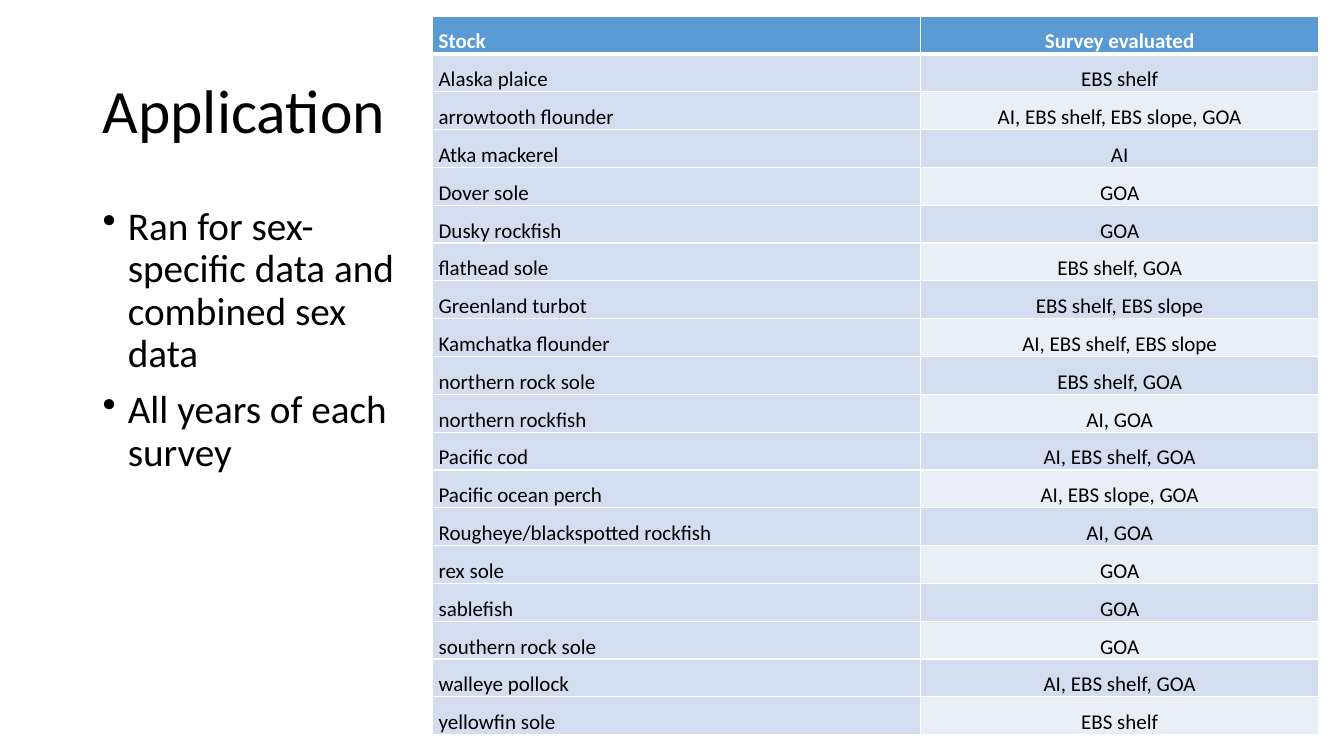
from lxml import etree
from pptx import Presentation
from pptx.dml.color import RGBColor
from pptx.enum import text
from pptx.oxml import ns
from pptx.util import Inches, Pt

BLACK = RGBColor(0, 0, 0)
WHITE = RGBColor(255, 255, 255)
BLUE = RGBColor(0x5B, 0x9B, 0xD5)
PALE = RGBColor(0xD2, 0xDE, 0xEF)
LIGHT = RGBColor(0xEA, 0xEF, 0xF7)
FONT = "Calibri"

POINTS = ["Ran for sex-specific data and combined sex data",
          "All years of each survey"]
STOCKS = [
    ("Stock", "Survey evaluated"),
    ("Alaska plaice", "EBS shelf"),
    ("arrowtooth flounder", "AI, EBS shelf, EBS slope, GOA"),
    ("Atka mackerel", "AI"),
    ("Dover sole", "GOA"),
    ("Dusky rockfish", "GOA"),
    ("flathead sole", "EBS shelf, GOA"),
    ("Greenland turbot", "EBS shelf, EBS slope"),
    ("Kamchatka flounder", "AI, EBS shelf, EBS slope"),
    ("northern rock sole", "EBS shelf, GOA"),
    ("northern rockfish", "AI, GOA"),
    ("Pacific cod", "AI, EBS shelf, GOA"),
    ("Pacific ocean perch", "AI, EBS slope, GOA"),
    ("Rougheye/blackspotted rockfish", "AI, GOA"),
    ("rex sole", "GOA"),
    ("sablefish", "GOA"),
    ("southern rock sole", "GOA"),
    ("walleye pollock", "AI, EBS shelf, GOA"),
    ("yellowfin sole", "EBS shelf"),
]


def style(para, size, color, spacing, before=0, bold=False):
    font = para.font
    font.name, font.size, font.bold = FONT, Pt(size), bold
    font.color.rgb = color
    para.line_spacing = spacing
    para.space_before = Pt(before)


def add_bullet(para):
    props = para._p.get_or_add_pPr()
    props.set("marL", str(Inches(0.25)))
    props.set("indent", str(Inches(-0.25)))
    mark = etree.Element(ns.qn("a:buChar"), char="•")
    props.insert_element_before(mark, "a:tabLst", "a:defRPr", "a:extLst")


def add_text(slide, left, top, width, height, lines, size, before=0,
             bullets=False, anchor=text.MSO_ANCHOR.TOP):
    box = slide.shapes.add_textbox(Inches(left), Inches(top),
                                   Inches(width), Inches(height))
    frame = box.text_frame
    frame.word_wrap = True
    frame.vertical_anchor = anchor
    frame.text = "\n".join(lines)
    for para in frame.paragraphs:
        style(para, size, BLACK, 0.9, before)
        if bullets:
            add_bullet(para)


def add_borders(cell, top, bottom):
    """Draw white cell edges; top and bottom are widths in points."""
    props = cell._tc.get_or_add_tcPr()
    for side, width in zip("LRTB", (1, 1, top, bottom)):
        line = etree.SubElement(props, ns.qn("a:ln" + side), w=str(Pt(width)))
        fill = etree.SubElement(line, ns.qn("a:solidFill"))
        etree.SubElement(fill, ns.qn("a:srgbClr"), val=str(WHITE))


def fill_cell(cell, row, col, words):
    head = row == 0
    add_borders(cell, 3 if row == 1 else 1, 3 if head else 1)
    cell.fill.solid()
    band = LIGHT if col and row % 2 == 0 else PALE
    cell.fill.fore_color.rgb = BLUE if head else band
    cell.margin_left = cell.margin_right = Inches(0.06)
    cell.margin_top = cell.margin_bottom = 0
    cell.text = words
    para = cell.text_frame.paragraphs[0]
    style(para, 15, WHITE if head else BLACK, 1.5, 6, head)
    para.alignment = text.PP_ALIGN.CENTER if col else text.PP_ALIGN.LEFT


def add_stocks(slide):
    table = slide.shapes.add_table(len(STOCKS), 2, Inches(4.29), Inches(0.16),
                                   Inches(8.79), Inches(7.12)).table
    for column, width in zip(table.columns, (4.84, 3.95)):
        column.width = Inches(width)
    for row, stock in enumerate(STOCKS):
        for col, words in enumerate(stock):
            fill_cell(table.cell(row, col), row, col, words)


def main():
    deck = Presentation()
    deck.slide_width, deck.slide_height = Inches(13.33), Inches(7.5)
    slide = deck.slides.add_slide(deck.slide_layouts[6])
    add_text(slide, 0.92, 0.4, 11.5, 1.45, ["Application"], 44,
             anchor=text.MSO_ANCHOR.MIDDLE)
    add_stocks(slide)
    add_text(slide, 0.92, 2, 3.13, 4.76, POINTS, 28, before=10, bullets=True)
    deck.save("out.pptx")


if __name__ == "__main__":
    main()
